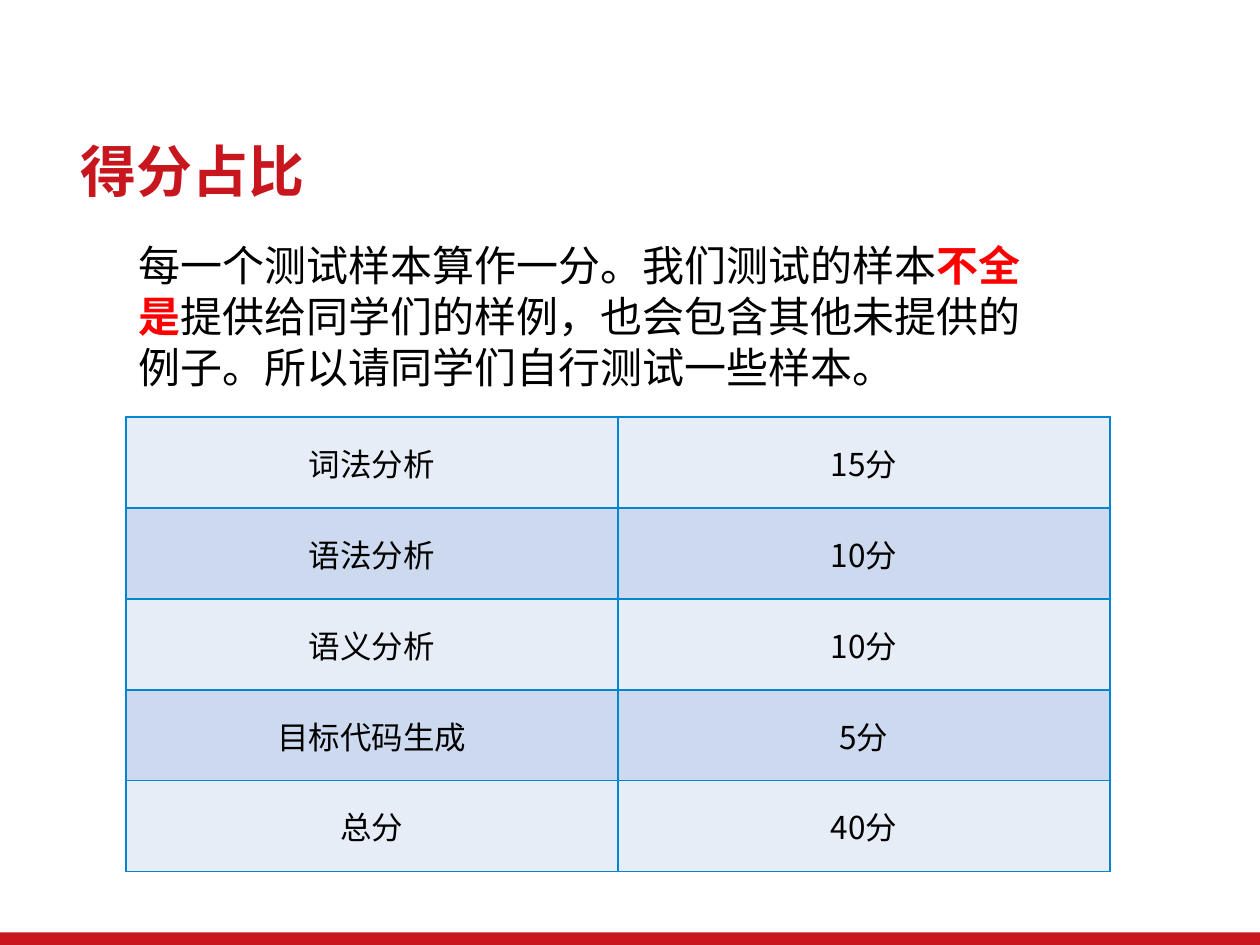
from lxml.etree import SubElement
from pptx import Presentation
from pptx.dml.color import RGBColor
from pptx.enum.shapes import MSO_SHAPE
from pptx.enum.text import MSO_ANCHOR, PP_ALIGN
from pptx.oxml.ns import qn
from pptx.util import Inches, Pt

FONT = "Noto Sans CJK SC"
BLACK, RED, TITLE_RED, BAR_RED = "000000", "FF0000", "C8161E", "C9151E"
BORDER, LIGHT_ROW, DARK_ROW = "0086D1", "E7EDF7", "CCD9EE"

SCORES = [
    ("词法分析", "15分"),
    ("语法分析", "10分"),
    ("语义分析", "10分"),
    ("目标代码生成", "5分"),
    ("总分", "40分"),
]


def color(hex_string):
    return RGBColor.from_string(hex_string)


def box(left, top, width, height):
    return Inches(left), Inches(top), Inches(width), Inches(height)


class SlideBuilder:
    def __init__(self, slide):
        self.slide = slide

    def add_run(self, paragraph, text, size, hex_string=BLACK, bold=False):
        run = paragraph.add_run()
        run.text = text
        font = run.font
        font.size, font.bold, font.name = Pt(size), bold, FONT
        font.color.rgb = color(hex_string)
        SubElement(font._element, qn("a:ea"), typeface=FONT)

    def add_bar(self, *place, fill):
        bar = self.slide.shapes.add_shape(MSO_SHAPE.RECTANGLE, *box(*place))
        bar.shadow.inherit = False
        bar.fill.solid()
        bar.fill.fore_color.rgb = color(fill)
        bar.line.fill.background()

    def set_title(self, text, *place):
        title = self.slide.shapes.title
        title.left, title.top, title.width, title.height = box(*place)
        title.text_frame.vertical_anchor = MSO_ANCHOR.MIDDLE
        paragraph = title.text_frame.paragraphs[0]
        paragraph.alignment = PP_ALIGN.LEFT
        paragraph.line_spacing = 0.9
        self.add_run(paragraph, text, 32, TITLE_RED, bold=True)

    def add_text(self, runs, *place):
        frame = self.slide.shapes.add_textbox(*box(*place)).text_frame
        frame.word_wrap = True
        paragraph = frame.paragraphs[0]
        paragraph.line_spacing = Pt(29)
        for text, hex_string, bold in runs:
            self.add_run(paragraph, text, 24, hex_string, bold)

    def add_borders(self, cell):
        properties = cell._tc.get_or_add_tcPr()
        for side in ("lnL", "lnR", "lnT", "lnB"):
            line = SubElement(properties, qn(f"a:{side}"), w=str(Pt(1)))
            fill = SubElement(line, qn("a:solidFill"))
            SubElement(fill, qn("a:srgbClr"), val=BORDER)

    def add_table(self, rows, *place):
        table = self.slide.shapes.add_table(len(rows), len(rows[0]), *box(*place)).table
        table.first_row = False
        for row_index, row in enumerate(rows):
            for column_index, text in enumerate(row):
                cell = table.cell(row_index, column_index)
                self.add_borders(cell)
                cell.fill.solid()
                cell.fill.fore_color.rgb = color(DARK_ROW if row_index % 2 else LIGHT_ROW)
                cell.vertical_anchor = MSO_ANCHOR.MIDDLE
                paragraph = cell.text_frame.paragraphs[0]
                paragraph.alignment = PP_ALIGN.CENTER
                self.add_run(paragraph, text, 18)


def main():
    presentation = Presentation()
    presentation.slide_width, presentation.slide_height = Inches(10), Inches(7.5)
    title_only = presentation.slide_layouts[5]
    builder = SlideBuilder(presentation.slides.add_slide(title_only))

    builder.add_bar(0, 7.4, 10, 0.1, fill=BAR_RED)
    builder.set_title("得分占比", 0.54, 1.07, 9.16, 0.63)
    builder.add_table(SCORES, 1, 3.31, 7.81, 3.61)
    builder.add_text(
        [
            ("每一个测试样本算作一分。我们测试的样本", BLACK, False),
            ("不全是", RED, True),
            ("提供给同学们的样例，也会包含其他未提供的例子。所以请同学们自行测试一些样本。", BLACK, False),
        ],
        1, 1.85, 7.33, 1.31,
    )
    presentation.save("out.pptx")


if __name__ == "__main__":
    main()
